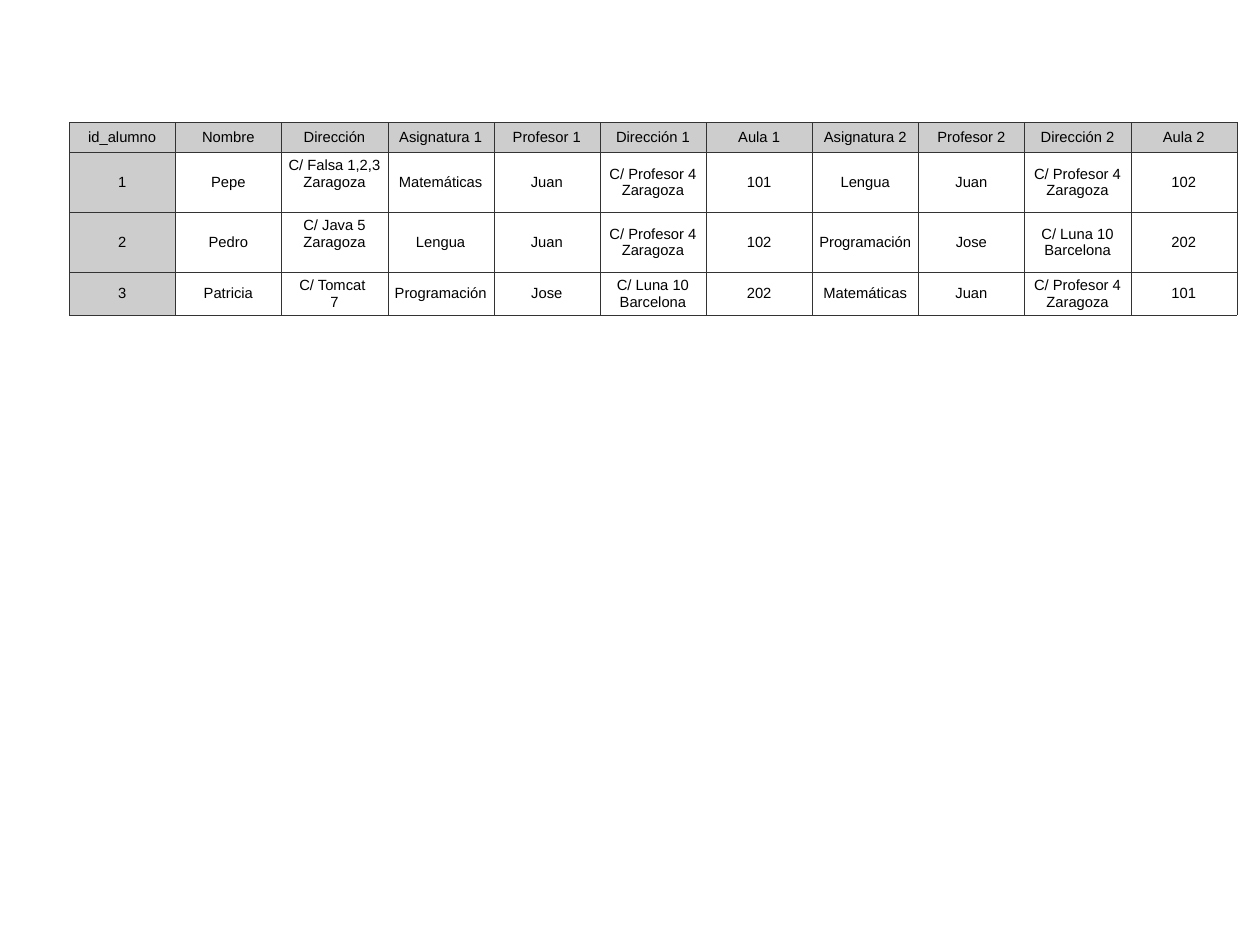
"""Builds a slide with an unnormalised table of students, subjects and teachers."""
from lxml import etree
from pptx import Presentation
from pptx.dml.color import RGBColor
from pptx.enum.text import MSO_ANCHOR, PP_ALIGN
from pptx.oxml.ns import qn
from pptx.util import Pt

CENTER = PP_ALIGN.CENTER
MIDDLE = MSO_ANCHOR.MIDDLE

HEADER = ["id_alumno", "Nombre", "Dirección"] + [
    f"{field} {number}"
    for number in (1, 2)
    for field in ("Asignatura", "Profesor", "Dirección", "Aula")
]
JUAN = ("Juan", "C/ Profesor 4 Zaragoza")
JOSE = ("Jose", "C/ Luna 10 Barcelona")
MATHS = ("Matemáticas", *JUAN, "101")
LANGUAGE = ("Lengua", *JUAN, "102")
PROGRAMMING = ("Programación", *JOSE, "202")
STUDENTS = [
    ("1", "Pepe", "C/ Falsa 1,2,3 Zaragoza", *MATHS, *LANGUAGE),
    ("2", "Pedro", "C/ Java 5 Zaragoza", *LANGUAGE, *PROGRAMMING),
    ("3", "Patricia", "C/ Tomcat \n7", *PROGRAMMING, *MATHS),
]
ROWS = [HEADER, *STUDENTS]

COLORS = {"heading": "CDCDCD", "border": "333333", "text": "000000"}
SLIDE_WIDTH, SLIDE_HEIGHT = 1023.84, 767.52
TABLE_LEFT, TABLE_TOP = 56.16, 99.4
COLUMN_WIDTH = 86.27
ROW_HEIGHTS = [24.4, 48.7, 48.7, 34.8]
BORDER_WIDTH = 0.11
LINE_HEIGHT = 13.8
RAISED_CELLS = {(1, 2), (2, 2)}
CELL_FORMAT = {
    "vertical_anchor": MIDDLE,
    "margin_left": Pt(4.25),
    "margin_right": Pt(4.25),
    "margin_top": Pt(3.6),
    "margin_bottom": Pt(3.6),
}
FONT_FORMAT = {"name": "Arial", "size": Pt(12), "bold": False}


def add_borders(cell):
    properties = cell._tc.get_or_add_tcPr()
    for side in ("lnL", "lnR", "lnT", "lnB"):
        line = etree.SubElement(properties, qn(f"a:{side}"), w=str(Pt(BORDER_WIDTH)))
        fill = etree.SubElement(line, qn("a:solidFill"))
        etree.SubElement(fill, qn("a:srgbClr"), val=COLORS["border"])


def format_cell(cell, text, is_heading, is_raised):
    cell.text = text
    for name, value in CELL_FORMAT.items():
        setattr(cell, name, value)
    if is_raised:
        cell.margin_bottom += Pt(LINE_HEIGHT)
    add_borders(cell)
    if is_heading:
        cell.fill.solid()
        cell.fill.fore_color.rgb = RGBColor.from_string(COLORS["heading"])
    else:
        cell.fill.background()
    for paragraph in cell.text_frame.paragraphs:
        paragraph.alignment = CENTER
        for run in paragraph.runs:
            for name, value in FONT_FORMAT.items():
                setattr(run.font, name, value)
            run.font.color.rgb = RGBColor.from_string(COLORS["text"])


def add_student_table(slide):
    table = slide.shapes.add_table(
        len(ROWS), len(HEADER), Pt(TABLE_LEFT), Pt(TABLE_TOP),
        Pt(COLUMN_WIDTH * len(HEADER)), Pt(sum(ROW_HEIGHTS)),
    ).table
    table.first_row = table.horz_banding = False
    for column in table.columns:
        column.width = Pt(COLUMN_WIDTH)
    for row_index, texts in enumerate(ROWS):
        table.rows[row_index].height = Pt(ROW_HEIGHTS[row_index])
        for column_index, text in enumerate(texts):
            is_heading = row_index == 0 or column_index == 0
            is_raised = (row_index, column_index) in RAISED_CELLS
            format_cell(table.cell(row_index, column_index), text, is_heading, is_raised)


def main():
    presentation = Presentation()
    presentation.slide_width = Pt(SLIDE_WIDTH)
    presentation.slide_height = Pt(SLIDE_HEIGHT)
    slide = presentation.slides.add_slide(presentation.slide_layouts[6])
    add_student_table(slide)
    presentation.save("out.pptx")


if __name__ == "__main__":
    main()
